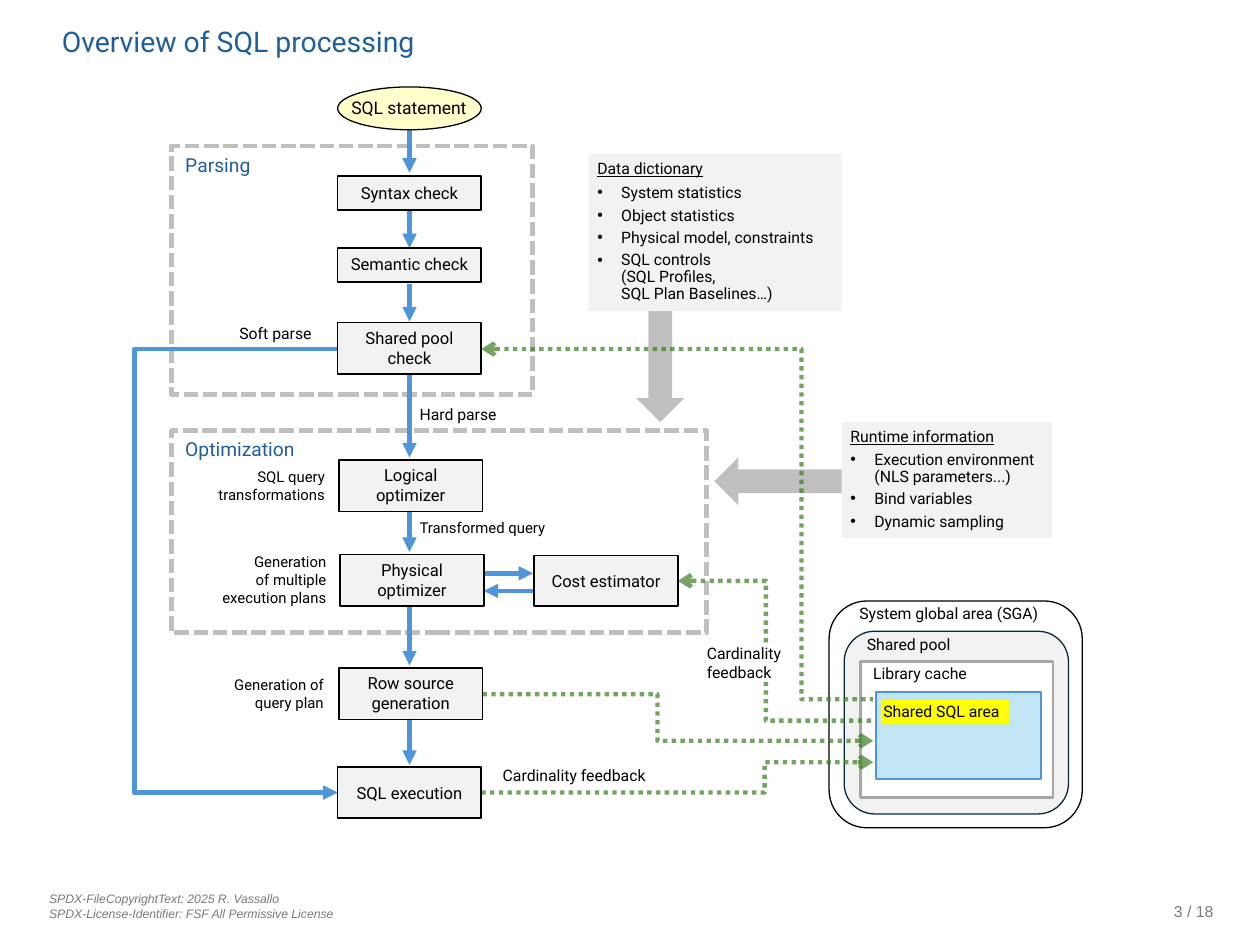
from lxml.etree import SubElement
from pptx import Presentation
from pptx.dml.color import RGBColor
from pptx.enum.dml import MSO_LINE
from pptx.enum.shapes import MSO_CONNECTOR, MSO_SHAPE
from pptx.enum.text import MSO_ANCHOR, PP_ALIGN
from pptx.oxml.ns import qn
from pptx.util import Inches, Pt

COLORS = {
    "title": "215F9A", "text": "000000", "footer": "797979", "white": "FFFFFF",
    "box": "F2F2F2", "frame": "BFBFBF", "flow": "4E95D9", "feedback": "3B7D23",
    "pool": "092A39", "cache": "A6A6A6", "area": "C1E5F5",
    "highlight": "FFFF00", "start": "FFFFCC",
}
COLORS = {name: RGBColor.from_string(value) for name, value in COLORS.items()}

deck = Presentation()
deck.slide_width, deck.slide_height = Inches(10), Inches(7.5)
page = deck.slides.add_slide(deck.slide_layouts[5])

# Grid of 100 columns and 75 rows; every place and inset is given in its cells
COLUMN, ROW = deck.slide_width / 100, deck.slide_height / 75


def add_box(place, text="", kind=MSO_SHAPE.RECTANGLE, fill=None, line=None, weight=1,
            size=9, color="text", font="Roboto", align=PP_ALIGN.LEFT,
            inset=(0, 0, 0, 0), anchor=MSO_ANCHOR.TOP):
    left, top, width, height = place
    cells = [round(n) for n in (left * COLUMN, top * ROW, width * COLUMN, height * ROW)]
    if fill or line:
        box = page.shapes.add_shape(kind, *cells)
        box.shadow.inherit = False
    else:
        box = page.shapes.add_textbox(*cells)
    if fill:
        box.fill.solid()
        box.fill.fore_color.rgb = COLORS[fill]
    else:
        box.fill.background()
    if line:
        box.line.color.rgb = COLORS[line]
        box.line.width = Pt(weight)
    else:
        box.line.fill.background()
    frame = box.text_frame
    frame.word_wrap, frame.vertical_anchor = True, anchor
    frame.margin_left, frame.margin_right = (round(n * COLUMN) for n in inset[::2])
    frame.margin_top, frame.margin_bottom = (round(n * ROW) for n in inset[1::2])
    frame.text = text
    for para in frame.paragraphs:
        para.alignment = align
        for span in para.runs:
            span.font.size, span.font.name = Pt(size), font
            span.font.color.rgb = COLORS[color]
    return box


def add_arrow(start, end, turn=None, color="flow", weight=2.75, arrow="triangle", at_end=True):
    kind = MSO_CONNECTOR.STRAIGHT if turn is None else MSO_CONNECTOR.ELBOW
    connector = page.shapes.add_connector(
        kind, round(start[0] * COLUMN), round(start[1] * ROW),
        round(end[0] * COLUMN), round(end[1] * ROW))
    connector.line.color.rgb = COLORS[color]
    connector.line.width = Pt(weight)
    properties = connector._element.spPr
    if turn is not None:
        bend = round((turn - start[0]) / (end[0] - start[0]) * 100000)
        guides = properties.find(qn("a:prstGeom")).get_or_add_avLst()
        SubElement(guides, qn("a:gd"), name="adj1", fmla=f"val {bend}")
    if color == "feedback":
        connector.line.dash_style = MSO_LINE.ROUND_DOT
        SubElement(next(properties.iter(qn("a:srgbClr"))), qn("a:alpha"), val="70000")
    SubElement(connector.line._get_or_add_ln(),
               qn("a:tailEnd" if at_end else "a:headEnd"), type=arrow)
    SubElement(properties, qn("a:effectLst"))


# Title
title = page.shapes.title
title.left, title.top = round(3.9 * COLUMN), round(2 * ROW)
title.width, title.height = round(92.4 * COLUMN), round(3.2 * ROW)
title.text_frame.text = "Overview of SQL processing"
title.text_frame.vertical_anchor = MSO_ANCHOR.MIDDLE
heading = title.text_frame.paragraphs[0]
heading.alignment, heading.line_spacing = PP_ALIGN.LEFT, 0.7
heading.runs[0].font.size, heading.runs[0].font.name = Pt(16.2), "Roboto"
heading.runs[0].font.color.rgb = COLORS["title"]

# Footer
footer = add_box((3.9, 70.6, 28.9, 2.5),
                 "SPDX-FileCopyrightText: 2025 R. Vassallo\n"
                 "SPDX-License-Identifier: FSF All Permissive License",
                 size=7, color="footer", font="Arial", inset=(0, 0.5, 0, 0),
                 anchor=MSO_ANCHOR.BOTTOM)
for para in footer.text_frame.paragraphs:
    para.runs[0].font.italic = True
add_box((90.3, 70.6, 6, 2.5), "3 / 18", color="footer", font="Arial",
        align=PP_ALIGN.RIGHT, anchor=MSO_ANCHOR.BOTTOM)

# Block arrows into the optimizer
add_box((56.7, 36.3, 11.6, 3.8), kind=MSO_SHAPE.LEFT_ARROW, fill="frame")
add_box((50.5, 21.9, 3.8, 11.6), kind=MSO_SHAPE.DOWN_ARROW, fill="frame")

# Dashed phase frames
for name, top, width, height, label_top in [("Parsing", 11.6, 28.7, 19.7, 12.2),
                                            ("Optimization", 34.2, 42.5, 16, 34.7)]:
    phase = add_box((13.6, top, width, height), line="frame", weight=2.75)
    phase.line.dash_style = MSO_LINE.SQUARE_DOT
    add_box((14.7, label_top, 9.2, 1.9), name, size=11, color="title")

# Nested memory areas
ROUNDED = MSO_SHAPE.ROUNDED_RECTANGLE
add_box((65.8, 47.7, 20.1, 18), kind=ROUNDED, line="text", weight=0.75)
add_box((67, 50.1, 17.8, 14.5), kind=ROUNDED, fill="box", line="pool", weight=0.75)
add_box((68.3, 52.5, 15.3, 10.8), fill="white", line="cache", weight=1.25)
for text, left, top in [("System global area (SGA)", 68.2, 47.9),
                        ("Shared pool", 68.8, 50.4), ("Library cache", 69.3, 52.7)]:
    add_box((left, top, 15.3, 1.5), text)

# Main flow, downwards
MIDDLE = 32.5
for top, bottom in [(9.3, 13.7), (16.7, 19.7), (22.5, 25.5), (29.5, 36.3),
                    (39.5, 43.8), (46, 52.8), (55.4, 60.7)]:
    add_arrow((MIDDLE, top), (MIDDLE, bottom))
# Exchange with the cost estimator, and soft parse
add_arrow((36.2, 45.5), (42.3, 45.5))
add_arrow((42.3, 46.9), (38.4, 46.9))
add_arrow((26.9, 27.7), (26.8, 62.9), turn=10.4)

# Dotted feedback routes
for start, end, turn, at_end in [((38.2, 27.7), (69.3, 55.5), 63.6, False),
                                 ((53.8, 46.1), (71.2, 57.2), 60.8, False),
                                 ((38.3, 55.1), (69.3, 58.8), 52.2, True),
                                 ((38.2, 62.9), (69.3, 60.5), 60.7, True)]:
    add_arrow(start, end, turn, "feedback", 2.5, "arrow", at_end)

# Shared SQL area
add_box((69.5, 54.9, 13.1, 6.9), fill="area", line="flow", weight=1.25)
add_box((69.9, 55.5, 10.2, 2), "Shared SQL area", fill="highlight", inset=(0.2, 0.2, 0.2, 0.3))

# Process steps: name, left, top, height, side inset, top inset
for text, left, top, height, side, above in [
        ("Syntax check", 26.8, 14, 2.7, 0, 0.5),
        ("Semantic check", 26.8, 19.7, 2.7, 0, 0.5),
        ("Shared pool check", 26.8, 25.6, 4.1, 1, 0.4),
        ("Logical optimizer", 26.9, 36.5, 4.1, 1, 0.4),
        ("Physical optimizer", 27, 44, 4.1, 1, 0.4),
        ("Cost estimator", 42.4, 44.1, 4, 0, 1.2),
        ("Row source generation", 26.9, 53, 4.1, 1, 0.4),
        ("SQL execution", 26.8, 60.9, 4, 0, 1.2)]:
    add_box((left, top, 11.4, height), text, fill="box", line="text", size=9.5,
            align=PP_ALIGN.CENTER, inset=(side, above, side, above))

# Starting point
add_box((26.8, 6.9, 11.4, 3.4), kind=MSO_SHAPE.OVAL, fill="start", line="text", weight=0.75)
add_box((26.9, 7.5, 11.4, 2.1), "SQL statement", size=10, inset=(1, 0.2, 0, 0.2))

# Labels on the arrows
for text, place, size in [("Soft parse", (19, 25.7, 6.1, 1.5), 9),
                          ("Hard parse", (33.3, 32.1, 7.4, 1.5), 9),
                          ("Transformed query", (33.3, 41.2, 11.4, 1.4), 8.5),
                          ("Cardinality feedback", (39.9, 60.8, 12, 1.5), 9),
                          ("Cardinality\nfeedback", (56.1, 51.1, 6.6, 3), 9)]:
    add_box(place, text, fill="white", size=size)

# Remarks beside the steps
for text, place in [("SQL query transformations", (16.1, 37.1, 9.7, 3)),
                    ("Generation\vof multiple\vexecution plans", (16.7, 43.9, 9.2, 4.4)),
                    ("Generation of query plan", (16.5, 53.6, 9.2, 3))]:
    add_box(place, text, fill="white", size=8.5, align=PP_ALIGN.RIGHT)

# Information panels: heading, then bullets with space before and line spacing
panels = [
    ((46.7, 12.2, 20.1, 12.5), "Data dictionary",
     [("System statistics", 3, 1), ("Object statistics", 2, 1),
      ("Physical model, constraints", 2, 1),
      ("SQL controls\v(SQL Profiles,\vSQL Plan Baselines…)", 3, 0.9)]),
    ((66.8, 33.5, 16.7, 9.2), "Runtime information",
     [("Execution environment (NLS parameters...)", 3, 0.9),
      ("Bind variables", 2, 1), ("Dynamic sampling", 2, 1)]),
]
for place, name, items in panels:
    panel = add_box(place, "\n".join([name] + [item[0] for item in items]),
                    fill="box", inset=(0.7, 0.4, 1, 0.5))
    first, *bullets = panel.text_frame.paragraphs
    first.runs[0].font.underline = True
    for para, (_, space, spacing) in zip(bullets, items):
        para.space_before, para.line_spacing = Pt(space), spacing
        properties = para._p.get_or_add_pPr()
        indent = round(1.9 * COLUMN)
        properties.set("marL", str(indent))
        properties.set("indent", str(-indent))
        SubElement(properties, qn("a:buFont"), typeface="Arial")
        SubElement(properties, qn("a:buChar"), char="•")

deck.save("out.pptx")
